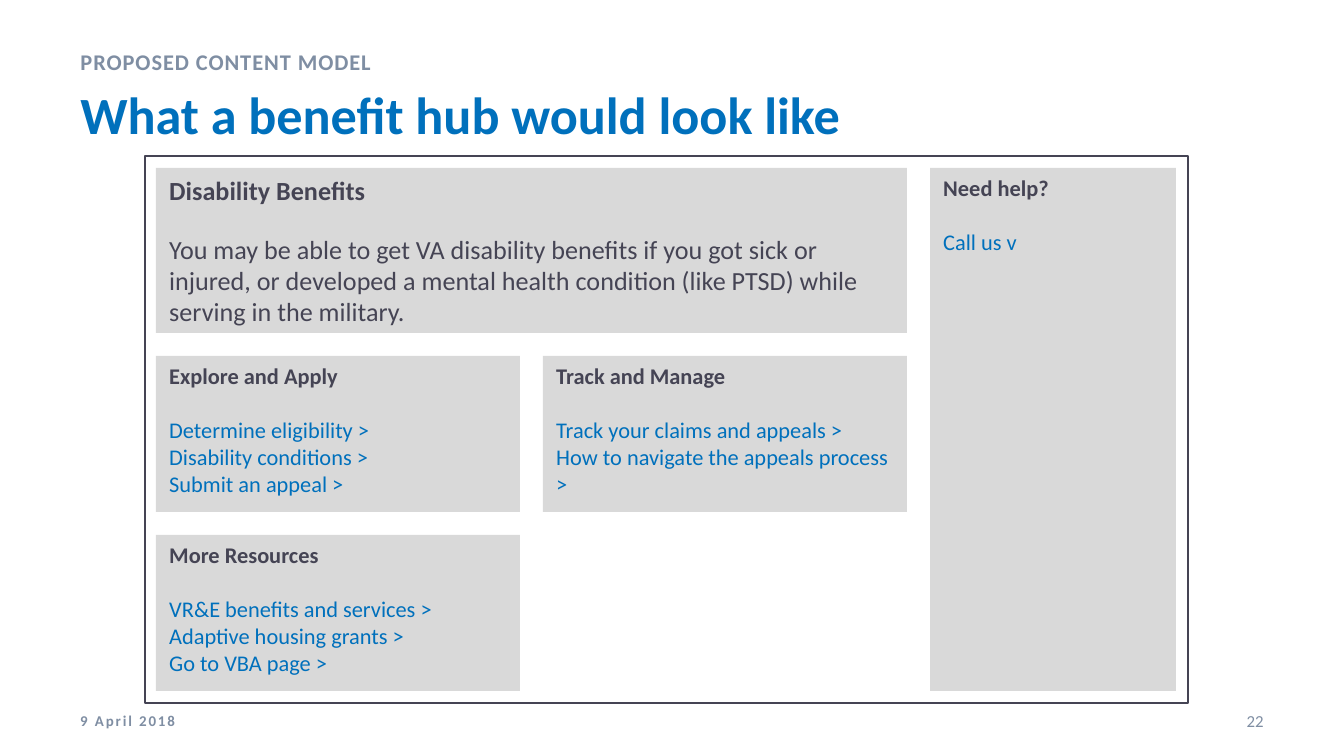
"""Builds the slide that shows the proposed layout of a benefit hub."""
from lxml import etree
from pptx import Presentation
from pptx.dml.color import RGBColor
from pptx.enum.shapes import MSO_SHAPE
from pptx.enum.text import MSO_ANCHOR, MSO_AUTO_SIZE, PP_ALIGN
from pptx.oxml.ns import qn
from pptx.util import Pt

RECTANGLE = MSO_SHAPE.RECTANGLE
TOP, MIDDLE = MSO_ANCHOR.TOP, MSO_ANCHOR.MIDDLE
LEFT, RIGHT = PP_ALIGN.LEFT, PP_ALIGN.RIGHT
NO_AUTOFIT = MSO_AUTO_SIZE.NONE

BLUE = RGBColor(0x00, 0x70, 0xBC)
SLATE = RGBColor(0x7F, 0x8E, 0xA3)
INK = RGBColor(0x45, 0x44, 0x54)
PANEL_GREY = RGBColor(0xD9, 0xD9, 0xD9)

FONT = "Calibri"
EMU_PER_PX = 914400 / 134.4
SLIDE_WIDTH, SLIDE_HEIGHT = 1344, 756

GAP = 23
COLUMN_WIDTH, HELP_WIDTH = 364, 246
INTRO_HEIGHT, ROW_HEIGHT = 165, 156
COLUMN_1, INTRO_TOP = 156, 168
COLUMN_2 = COLUMN_1 + COLUMN_WIDTH + GAP
COLUMN_3 = COLUMN_2 + COLUMN_WIDTH + GAP
ROW_1 = INTRO_TOP + INTRO_HEIGHT + GAP
ROW_2 = ROW_1 + ROW_HEIGHT + GAP


def px(length):
    return round(length * EMU_PER_PX)


def write(paragraph, text, size=12, color=INK, bold=False, align=LEFT,
          tracking=0, line_spacing=1.0, before=0, after=0):
    paragraph.alignment = align
    paragraph.line_spacing = line_spacing
    paragraph.space_before = Pt(before)
    paragraph.space_after = Pt(after)
    run = paragraph.add_run()
    run.text = text
    run.font.name = FONT
    run.font.size = Pt(size)
    run.font.bold = bold
    run.font.color.rgb = color
    if tracking:
        run._r.get_or_add_rPr().set("spc", str(round(tracking * 100)))


class HubSlide:
    def __init__(self, presentation):
        self.slide = presentation.slides.add_slide(presentation.slide_layouts[1])

    def frame_text(self, shape, anchor=TOP):
        frame = shape.text_frame
        frame.word_wrap = True
        frame.auto_size = NO_AUTOFIT
        frame.vertical_anchor = anchor
        return frame

    def placeholder(self, index, box, text, **style):
        shape = self.slide.placeholders[index]
        shape.left, shape.top, shape.width, shape.height = map(px, box)
        paragraph = self.frame_text(shape).paragraphs[0]
        properties = paragraph._p.get_or_add_pPr()
        properties.set("marL", "0")
        properties.set("indent", "0")
        etree.SubElement(properties, qn("a:buNone"))
        write(paragraph, text, **style)

    def label(self, box, text, **style):
        shape = self.slide.shapes.add_textbox(*map(px, box))
        write(self.frame_text(shape, MIDDLE).paragraphs[0], text, **style)

    def rectangle(self, box):
        shape = self.slide.shapes.add_shape(RECTANGLE, *map(px, box))
        shape.shadow.inherit = False
        return shape

    def panel(self, box, heading, lines, size=12, color=BLUE):
        shape = self.rectangle(box)
        shape.fill.solid()
        shape.fill.fore_color.rgb = PANEL_GREY
        shape.line.fill.background()
        frame = self.frame_text(shape)
        write(frame.paragraphs[0], heading, size=size, bold=True)
        for number, line in enumerate(lines):
            write(frame.add_paragraph(), line, size=size, color=color,
                  before=0 if number else 14.5)

    def outline(self, box):
        shape = self.rectangle(box)
        shape.fill.background()
        shape.line.color.rgb = INK
        shape.line.width = Pt(1.25)


def main():
    presentation = Presentation()
    presentation.slide_width = px(SLIDE_WIDTH)
    presentation.slide_height = px(SLIDE_HEIGHT)
    hub = HubSlide(presentation)

    hub.placeholder(0, (67, 76, 1109, 92), "What a benefit hub would look like",
                    size=28, color=BLUE, bold=True)
    hub.placeholder(1, (67, 36, 1109, 39), "PROPOSED CONTENT MODEL",
                    color=SLATE, bold=True, tracking=0.5, line_spacing=1.2, after=6)
    hub.label((1176, 701, 101, 40), "22", size=9, color=SLATE, align=RIGHT)
    hub.label((67, 701, 302, 40), "9 April 2018",
              size=8, color=SLATE, bold=True, tracking=1)

    hub.panel((COLUMN_1, INTRO_TOP, 2 * COLUMN_WIDTH + GAP, INTRO_HEIGHT),
              "Disability Benefits",
              ["You may be able to get VA disability benefits if you got sick or "
               "injured, or developed a mental health condition (like PTSD) while "
               "serving in the military."],
              size=14, color=INK)
    link_panels = [
        (COLUMN_1, ROW_1, "Explore and Apply",
         ["Determine eligibility >", "Disability conditions >", "Submit an appeal >"]),
        (COLUMN_2, ROW_1, "Track and Manage",
         ["Track your claims and appeals >", "How to navigate the appeals process >"]),
        (COLUMN_1, ROW_2, "More Resources",
         ["VR&E benefits and services >", "Adaptive housing grants >",
          "Go to VBA page >"]),
    ]
    for left, top, heading, links in link_panels:
        hub.panel((left, top, COLUMN_WIDTH, ROW_HEIGHT), heading, links)
    hub.panel((COLUMN_3, INTRO_TOP, HELP_WIDTH, ROW_2 + ROW_HEIGHT - INTRO_TOP),
              "Need help?", ["Call us v"])
    hub.outline((145, 156, 1043, 547))

    presentation.save("out.pptx")


if __name__ == "__main__":
    main()
